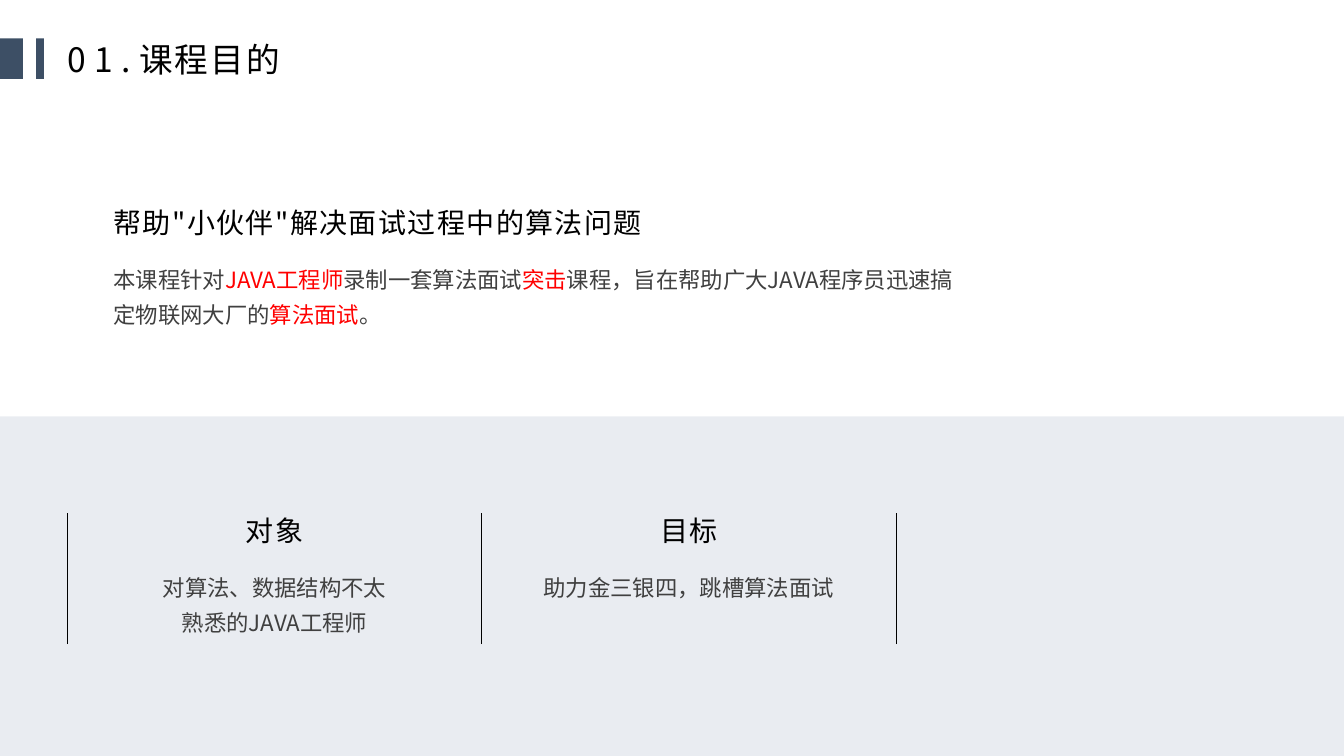
from lxml import etree
from pptx import Presentation
from pptx import util as u
from pptx.dml.color import RGBColor
from pptx.enum import shapes, text
from pptx.oxml.ns import qn

FONT = "Noto Sans CJK SC"
BLACK, GREY, RED, NAVY, MIST = "000000", "404040", "FF0000", "3D4F65", "D4DBE5"
COLUMN_WIDTH = 10.44


def colour(code):
    """Turn a hex string into a colour."""
    return RGBColor.from_string(code)


def add_block(page, left, top, width, height, fill, alpha=None):
    """Draw a plain filled rectangle, optionally see-through."""
    block = page.shapes.add_shape(shapes.MSO_SHAPE.RECTANGLE, u.Cm(left), u.Cm(top), u.Cm(width), u.Cm(height))
    block.shadow.inherit = False
    block.line.fill.background()
    block.fill.solid()
    block.fill.fore_color.rgb = colour(fill)
    if alpha is not None:
        tint = block.fill._xPr.find(".//" + qn("a:srgbClr"))
        etree.SubElement(tint, qn("a:alpha")).set("val", str(alpha * 1000))


def add_rule(page, left, top, height):
    """Draw a thin vertical line."""
    rule = page.shapes.add_connector(
        shapes.MSO_CONNECTOR.STRAIGHT, u.Cm(left), u.Cm(top + height), u.Cm(left), u.Cm(top))
    rule.line.color.rgb = colour(BLACK)
    rule.line.width = u.Pt(0.5)
    etree.SubElement(rule._element.spPr, qn("a:effectLst"))


def add_text(page, left, top, width, height, spans, size, align="LEFT", line=None, middle=False, grow=False):
    """Write one paragraph from (words, colour, letter spacing) spans."""
    box = page.shapes.add_textbox(u.Cm(left), u.Cm(top), u.Cm(width), u.Cm(height))
    frame = box.text_frame
    frame.word_wrap = True
    frame.margin_left = frame.margin_right = frame.margin_top = frame.margin_bottom = 0
    if middle:
        frame.vertical_anchor = text.MSO_ANCHOR.MIDDLE
    if grow:
        frame.auto_size = text.MSO_AUTO_SIZE.SHAPE_TO_FIT_TEXT
    para = frame.paragraphs[0]
    para.alignment = text.PP_ALIGN[align]
    para.line_spacing = line
    for words, shade, spacing in spans:
        span = para.add_run()
        span.text = words
        span.font.size = u.Pt(size)
        span.font.color.rgb = colour(shade)
        span.font.name = FONT
        props = span.font._element
        etree.SubElement(props, qn("a:ea")).set("typeface", FONT)
        if spacing:
            props.set("spc", str(int(spacing * 100)))


def add_header(page, left, top):
    """Place the two bars and the slide title."""
    add_block(page, left + 0.91, top, 0.2, 1.02, NAVY)
    add_block(page, left, top, 0.58, 1.02, NAVY)
    add_text(page, left + 1.7, top - 0.33, 11.89, 1.7,
             [("01.", BLACK, 6), ("课程目的", BLACK, 1.5)], 24, middle=True)


def add_intro(page, left, top, width):
    """Place the heading and the paragraph about the course."""
    add_text(page, left, top, 14.8, 0.86,
             [("帮助\"小伙伴\"解决面试过程中的算法问题", BLACK, 1)], 20, grow=True)
    spans = [
        ("本课程针对", GREY, 0),
        ("JAVA工程师", RED, 0),
        ("录制一套算法面试", GREY, 0),
        ("突击", RED, 0),
        ("课程，旨在帮助广大JAVA程序员迅速搞定物联网大厂的", GREY, 0),
        ("算法面试", RED, 0),
        ("。", GREY, 0),
    ]
    add_text(page, left, top + 1.32, width, 3, spans, 16, line=1.3)


def add_column(page, left, top, width, heading, body, body_width):
    """Centre a heading and its body text in a column."""
    middle = left + width / 2
    add_text(page, middle - 3.1, top, 6.2, 0.86, [(heading, BLACK, 1)], 20, "CENTER", grow=True)
    add_text(page, middle - body_width / 2, top + 1.33, body_width, 3,
             [(body, GREY, 0)], 16, "CENTER", line=1.3)


def add_columns(page, left, top):
    """Place the columns and the lines that bound them."""
    columns = [
        ("对象", "对算法、数据结构不太熟悉的JAVA工程师", 5.77),
        ("目标", "助力金三银四，跳槽算法面试", 8.1),
    ]
    for index, column in enumerate(columns):
        add_column(page, left + index * COLUMN_WIDTH, top, COLUMN_WIDTH, *column)
    for index in range(len(columns) + 1):
        add_rule(page, left + index * COLUMN_WIDTH, top, 3.3)


def main():
    """Build the slide and save it."""
    deck = Presentation()
    deck.slide_width, deck.slide_height = u.Cm(33.87), u.Cm(19.05)
    page = deck.slides.add_slide(deck.slide_layouts[6])
    add_header(page, 0, 0.97)
    add_block(page, 0, 10.49, 33.87, 8.56, MIST, alpha=50)
    add_intro(page, 2.86, 5.18, 21.64)
    add_columns(page, 1.7, 12.93)
    deck.save("out.pptx")


if __name__ == "__main__":
    main()
